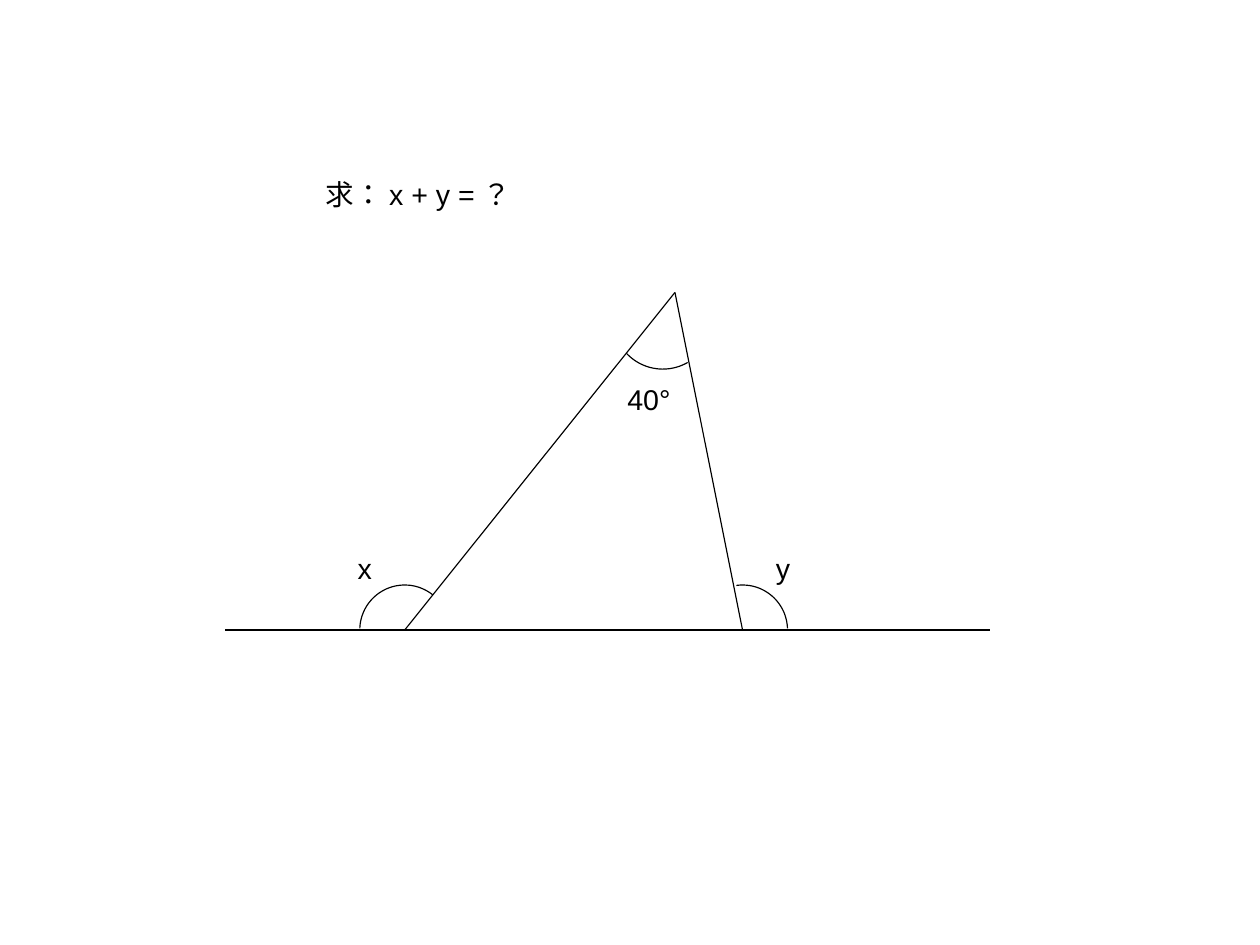
from math import cos, radians, sin

from lxml import etree
from pptx import Presentation
from pptx.dml.color import RGBColor
from pptx.enum.lang import MSO_LANGUAGE_ID as LANG
from pptx.enum.shapes import MSO_CONNECTOR as CONN
from pptx.oxml.ns import qn
from pptx.util import Pt

BLACK = RGBColor(0, 0, 0)
LINE_WIDTH = Pt(0.75)
ARC_STEPS = 40


def add_line(s, start, end):
    c = s.shapes.add_connector(CONN.STRAIGHT, *map(Pt, start + end))
    c.line.color.rgb = BLACK
    c.line.width = LINE_WIDTH
    etree.SubElement(c._element.spPr, qn("a:effectLst"))


def add_arc(s, center, radius, start, end):
    """Draw an open arc; angles in degrees, counterclockwise from the right."""
    x, y = center
    angles = [radians(start + (end - start) * i / ARC_STEPS)
              for i in range(ARC_STEPS + 1)]
    points = [(Pt(x + radius * cos(a)), Pt(y - radius * sin(a))) for a in angles]
    fb = s.shapes.build_freeform(*points[0])
    fb.add_line_segments(points[1:], close=False)
    sp = fb.convert_to_shape()
    sp.shadow.inherit = False
    sp.fill.background()
    sp.line.color.rgb = BLACK
    sp.line.width = LINE_WIDTH


def add_label(s, text, left, top, width, height=27.4):
    sp = s.shapes.add_textbox(Pt(left), Pt(top), Pt(width), Pt(height))
    tf = sp.text_frame
    tf.word_wrap = False
    tf.margin_left = tf.margin_right = Pt(7.2)
    tf.margin_top, tf.margin_bottom = Pt(5), Pt(3.6)
    p = tf.paragraphs[0]
    r = p.add_run()
    r.text = text
    r.font.language_id = LANG.TRADITIONAL_CHINESE
    p.line_spacing = 0.93
    p.font.size = Pt(18)
    p.font.name = "Arial"
    p.font.color.rgb = BLACK


def add_triangle(s, left, top, width, height):
    """Draw the triangle on its extended base, with its angles marked."""
    base = top + height
    apex = (left + 283.4, top)
    corner_x = (left + 113.2, base)
    corner_y = (left + 326, base)
    add_line(s, (left, base), (left + width, base))
    add_line(s, corner_x, apex)
    add_line(s, corner_y, apex)
    add_arc(s, (apex[0] - 7.6, top + 17), 31.3, 223, 300)
    add_arc(s, corner_x, 28.3, 51, 178)
    add_arc(s, corner_y, 28.3, 2, 98)
    add_label(s, "40°", apex[0] - 37.1, top + 53.6, 43)
    add_label(s, "x", corner_x[0] - 36.8, base - 53, 23)
    add_label(s, "y", corner_y[0] + 13.9, base - 53, 23)


def main():
    prs = Presentation()
    prs.slide_width, prs.slide_height = Pt(793.75), Pt(595.25)
    s = prs.slides.add_slide(prs.slide_layouts[6])
    add_triangle(s, 141.8, 184.2, 481.8, 212.6)
    add_label(s, "求： x + y = ？", 198, 108.2, 142)
    prs.save("out.pptx")


if __name__ == "__main__":
    main()
